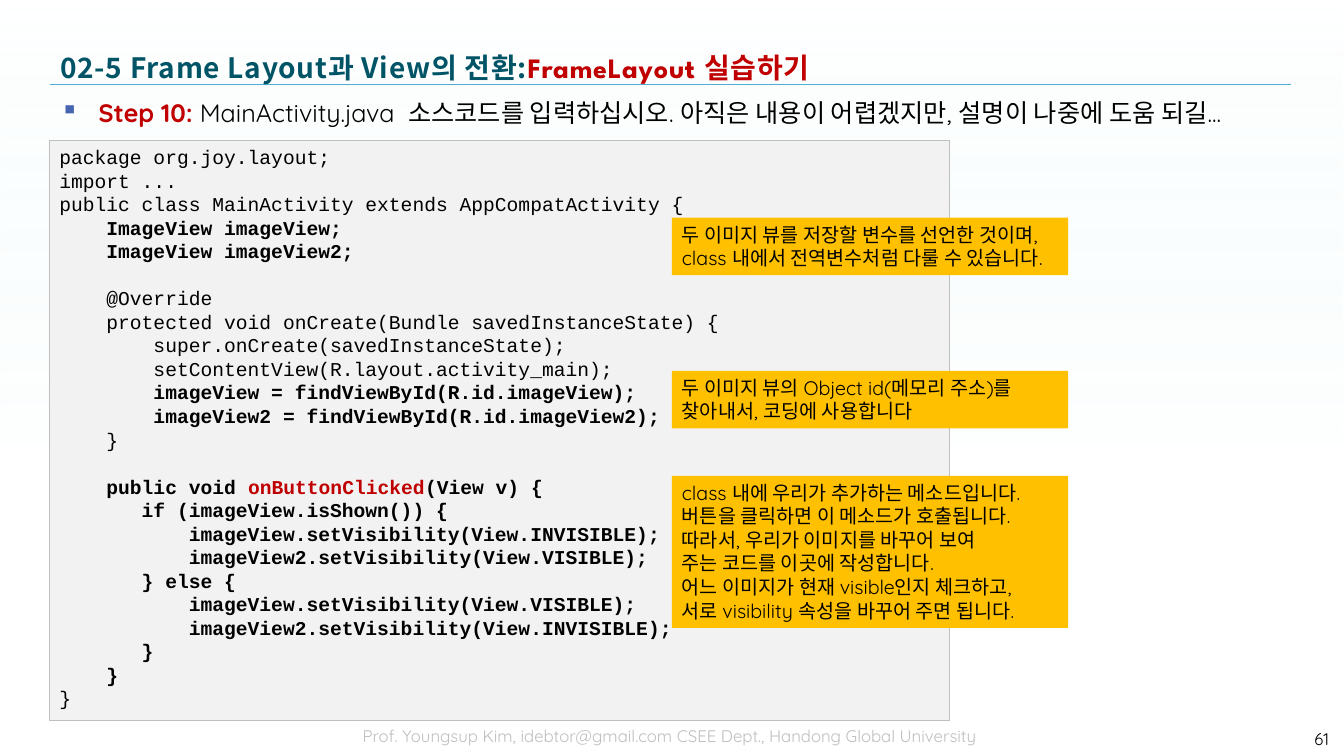
from lxml import etree
from pptx import Presentation
from pptx.dml.color import RGBColor
from pptx.enum.shapes import MSO_CONNECTOR, MSO_SHAPE
from pptx.enum.text import MSO_ANCHOR, PP_ALIGN
from pptx.oxml.ns import qn
from pptx.util import Inches, Pt

RECT = MSO_SHAPE.RECTANGLE
LINE = MSO_CONNECTOR.STRAIGHT
TOP, MID = MSO_ANCHOR.TOP, MSO_ANCHOR.MIDDLE
LEFT, MIDST, RIGHT = PP_ALIGN.LEFT, PP_ALIGN.CENTER, PP_ALIGN.RIGHT
WIDE, HIGH = 13.33, 7.5
SANS, MONO = "Quicksand", "Courier New"
BLACK, RED, GREY, GOLD = "000000", "C00000", "BFBFBF", "FFC000"

CODE = """package org.joy.layout;
import ...
public class MainActivity extends AppCompatActivity {
    ImageView imageView;
    ImageView imageView2;

    @Override
    protected void onCreate(Bundle savedInstanceState) {
        super.onCreate(savedInstanceState);
        setContentView(R.layout.activity_main);
        imageView = findViewById(R.id.imageView);
        imageView2 = findViewById(R.id.imageView2);
    }

    public void onButtonClicked(View v) {
       if (imageView.isShown()) {
           imageView.setVisibility(View.INVISIBLE);
           imageView2.setVisibility(View.VISIBLE);
       } else {
           imageView.setVisibility(View.VISIBLE);
           imageView2.setVisibility(View.INVISIBLE);
       }
    }
}""".split("\n")
BOLD = {3, 4, 10, 11, *range(14, 23)}  # code rows in bold
HOT = "onButtonClicked"

# Top edge, height and paragraphs of each note
NOTES = [
    (2.16, 0.57, ["두 이미지 뷰를 저장할 변수를 선언한 것이며,\vclass 내에서 전역변수처럼 다룰 수 있습니다."]),
    (3.68, 0.57, ["두 이미지 뷰의 Object id(메모리 주소)를\v찾아내서, 코딩에 사용합니다"]),
    (4.72, 1.51, ["class 내에 우리가 추가하는 메소드입니다.",
                  "버튼을 클릭하면 이 메소드가 호출됩니다.",
                  "따라서, 우리가 이미지를 바꾸어 보여",
                  "주는 코드를 이곳에 작성합니다.",
                  "어느 이미지가 현재 visible인지 체크하고,",
                  "서로 visibility 속성을 바꾸어 주면 됩니다."]),
]


def rgb(code):
    return RGBColor.from_string(code)


def style(font, size, name, color, bold=False):
    font.size, font.name, font.bold = Pt(size), name, bold
    font.color.rgb = rgb(color)


def add_runs(para, parts, size):
    """Add runs given as (text, font, colour, bold)."""
    for text, name, color, bold in parts:
        run = para.add_run()
        run.text = text
        style(run.font, size, name, color, bold)


def frame(shape, anchor=TOP, wrap=True):
    shape.text_frame.word_wrap = wrap
    shape.text_frame.vertical_anchor = anchor
    return shape.text_frame


def text_box(slide, box, anchor=TOP):
    return frame(slide.shapes.add_textbox(*map(Inches, box)), anchor)


def panel(slide, box, fill, edge=None):
    shape = slide.shapes.add_shape(RECT, *map(Inches, box))
    shape.shadow.inherit = False
    shape.fill.solid()
    shape.fill.fore_color.rgb = rgb(fill)
    if edge:
        shape.line.color.rgb = rgb(edge)
        shape.line.width = Pt(0.75)
    else:
        shape.line.fill.background()
    return frame(shape, wrap=False)


def backdrop(slide, box):
    shape = slide.shapes.add_shape(RECT, *map(Inches, box))
    shape.shadow.inherit = False
    shape.line.fill.background()
    shape.fill.gradient()
    shape.fill.gradient_angle = 270
    stops = zip(shape.fill.gradient_stops, [("D9F3F4", 0), ("FFFFFF", 0.61)])
    for stop, (color, place) in stops:
        stop.color.rgb = rgb(color)
        stop.position = place
    tints = shape.element.spPr.iter(qn("a:srgbClr"))
    for tint, alpha in zip(tints, (0, 40000)):
        etree.SubElement(tint, qn("a:alpha")).set("val", str(alpha))


def header(slide, box):
    left, top, width, height = box
    rule = top + height * 0.84
    line = slide.shapes.add_connector(
        LINE, *map(Inches, (left, rule, left + width, rule)))
    line.line.color.rgb = rgb("4FADD1")
    line.line.width = Pt(0.25)
    etree.SubElement(line.element.spPr, qn("a:effectLst"))
    para = text_box(slide, box, MID).paragraphs[0]
    add_runs(para, [("02-5 Frame Layout과 View의 전환:", "Noto Sans CJK KR", "005466", True),
                    ("FrameLayout 실습하기", "League Spartan", RED, True)], 20)
    for run in para.runs:
        run.font._element.set("spc", "50")


def step(slide, box):
    para = text_box(slide, box).paragraphs[0]
    props = para._p.get_or_add_pPr()
    props.set("marL", str(Inches(0.38)))
    props.set("indent", str(Inches(-0.38)))
    tint = etree.SubElement(props, qn("a:buClr"))
    etree.SubElement(tint, qn("a:srgbClr")).set("val", "4764B0")
    etree.SubElement(props, qn("a:buChar")).set("char", "▪")
    add_runs(para, [("Step 10: ", SANS, RED, True),
                    ("MainActivity.java  소스코드를 입력하십시오. 아직은 내용이 어렵겠지만, "
                     "설명이 나중에 도움 되길...", SANS, BLACK, False)], 18)


def fill_rows(text, rows, name, bold=()):
    for i, row in enumerate(rows):
        para = text.paragraphs[0] if i == 0 else text.add_paragraph()
        para.alignment = LEFT
        if HOT in row:
            head, tail = row.split(HOT)
            add_runs(para, [(head, name, BLACK, True), (HOT, name, RED, True),
                            (tail, name, BLACK, True)], 14)
        else:
            para.text = row
            style(para.font, 14, name, BLACK, i in bold)


def listing(slide, box):
    fill_rows(panel(slide, box, "F2F2F2", GREY), CODE, MONO, BOLD)


def notes(slide, left, width):
    for top, height, rows in NOTES:
        fill_rows(panel(slide, (left, top, width, height), GOLD), rows, SANS)


def label(slide, box, text, color, align, anchor):
    para = text_box(slide, box, anchor).paragraphs[0]
    para.text, para.alignment = text, align
    style(para.font, 12, SANS, color)


def main():
    deck = Presentation()
    deck.slide_width, deck.slide_height = Inches(WIDE), Inches(HIGH)
    slide = deck.slides.add_slide(deck.slide_layouts[6])
    backdrop(slide, (0, 0, WIDE, HIGH))
    header(slide, (0.5, 0.42, 12.3, 0.5))
    step(slide, (0.5, 0.92, 12.31, 0.45))
    listing(slide, (0.49, 1.39, 8.93, 5.76))
    notes(slide, WIDE / 2, 3.93)
    # Footer and page number
    label(slide, (2.43, 7.15, 8.43, 0.36),
          "Prof. Youngsup Kim, idebtor@gmail.com CSEE Dept., Handong Global University",
          GREY, MIDST, TOP)
    label(slide, (12.11, 7.13, 1.17, 0.4), "61", BLACK, RIGHT, MID)
    deck.save("out.pptx")


if __name__ == "__main__":
    main()
